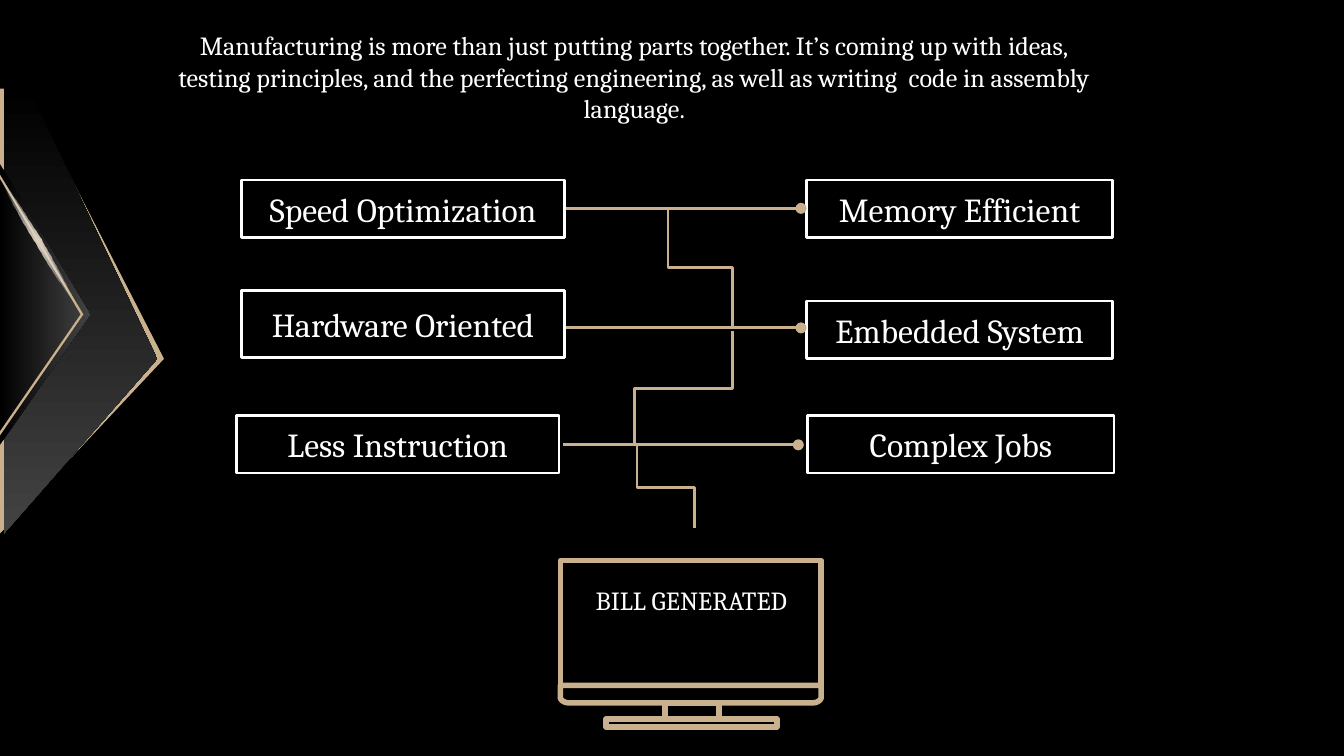
from lxml.etree import SubElement
from pptx import Presentation
from pptx.dml.color import RGBColor
from pptx.enum.shapes import MSO_CONNECTOR, MSO_SHAPE
from pptx.enum.text import MSO_ANCHOR, MSO_AUTO_SIZE, PP_ALIGN
from pptx.oxml.ns import qn
from pptx.util import Pt

EMU_PER_PX = 9144  # 100 px to the inch
COLORS = {
    "black": "000000",
    "white": "FFFFFF",
    "gold": "C9B18E",
    "grey": "434343",
    "sand": "DED0BB",
}
INTRO = (
    "Manufacturing is more than just putting parts together. It’s coming up with ideas, "
    "testing principles, and the perfecting engineering, as well as writing  code in assembly language."
)
LABELS = [
    ("Speed Optimization", (180, 134, 240, 43)),
    ("Hardware Oriented", (180, 216, 240, 50)),
    ("Less Instruction", (176, 309, 240, 43)),
    ("Memory Efficient", (600, 134, 228, 43)),
    ("Embedded System", (600, 224, 228, 43)),
    ("Complex Jobs", (601, 309, 228, 43)),
]
LINKS = [(421, 155), (421, 244), (419, 331)]
LINK_LENGTH = 175
STEPS = [
    ((497, 155), (545, 243)),
    ((545, 246), (472, 332)),
    ((474, 332), (517, 393)),
]


def px(*values):
    return [round(value * EMU_PER_PX) for value in values]


def color(name):
    return RGBColor.from_string(COLORS[name])


def apply_format(target, values):
    for name, value in values.items():
        setattr(target, name, value)


def set_line(shape, name, width):
    shape.line.color.rgb = color(name)
    shape.line.width = Pt(width)


def write_text(frame, text, size, inset_y=10, **frame_format):
    left, top = px(10, inset_y)
    apply_format(frame, {
        "word_wrap": True, "margin_left": left, "margin_right": left,
        "margin_top": top, "margin_bottom": top, **frame_format,
    })
    paragraph = frame.paragraphs[0]
    apply_format(paragraph, {"alignment": PP_ALIGN.CENTER, "space_before": Pt(0)})
    run = paragraph.add_run()
    run.text = text
    apply_format(run.font, {"name": "Cambria", "size": Pt(size)})
    run.font.color.rgb = color("white")
    return paragraph


def add_intro(slide):
    title, body = slide.placeholders
    title.element.getparent().remove(title.element)
    apply_format(body, dict(zip(("left", "top", "width", "height"), px(118, 12, 708, 464))))
    paragraph = write_text(body.text_frame, INTRO, 14,
                           vertical_anchor=MSO_ANCHOR.TOP, auto_size=MSO_AUTO_SIZE.NONE)
    # No bullet, no hanging indent
    properties = paragraph._p.get_or_add_pPr()
    properties.set("marL", "0")
    properties.set("indent", "0")
    SubElement(properties, qn("a:buNone"))


def add_frame(shapes, box, name, width):
    frame = shapes.add_shape(MSO_SHAPE.RECTANGLE, *px(*box))
    frame.shadow.inherit = False
    frame.fill.background()
    set_line(frame, name, width)
    return frame


def add_label(shapes, text, box):
    label = add_frame(shapes, box, "white", 1.5)
    write_text(label.text_frame, text, 18, vertical_anchor=MSO_ANCHOR.MIDDLE)


def curve(start, control_1, control_2, end, steps=12):
    """Points along a cubic curve, without its start."""
    points = []
    for step in range(1, steps + 1):
        t = step / steps
        weights = ((1 - t) ** 3, 3 * t * (1 - t) ** 2, 3 * t * t * (1 - t), t ** 3)
        corners = (start, control_1, control_2, end)
        points.append(tuple(sum(w * c[axis] for w, c in zip(weights, corners)) for axis in (0, 1)))
    return points


def add_outline(shapes, points):
    start, *rest = [px(*point) for point in points]
    builder = shapes.build_freeform(*start)
    builder.add_line_segments(rest, close=True)
    outline = builder.convert_to_shape()
    outline.shadow.inherit = False
    return outline


def add_facet(shapes, points, fill, angle=0):
    """A filled outline: one colour name, or two for a gradient."""
    facet = add_outline(shapes, points)
    facet.line.fill.background()
    if isinstance(fill, str):
        facet.fill.solid()
        facet.fill.fore_color.rgb = color(fill)
        return facet
    facet.fill.gradient()
    facet.fill.gradient_angle = angle
    for stop, name, position in zip(facet.fill.gradient_stops, fill, (0, 1)):
        stop.color.rgb = color(name)
        stop.position = position
    return facet


def add_arrow(slide):
    shapes = slide.shapes.add_group_shape().shapes
    add_facet(shapes, [(19, 66), (122, 267), (0, 397), (0, 66)], "gold")
    add_facet(shapes, [(21, 65), (117, 267), (3, 397), (3, 65)], ("black", "grey"), 270)
    add_facet(shapes, [(0, 122), (67, 234), (0, 331)], ("black", "grey"))
    add_facet(shapes, [(0, 324), (0, 321), (60, 234), (0, 133), (0, 130), (62, 234)], "gold")

    # Glint that fades out from its centre
    tip, tail = (54, 223), (2, 135)
    edge = [tip, *curve(tip, (55, 222), (44, 202), (30, 177)),
            *curve((30, 177), (15, 153), (3, 134), tail),
            *curve(tail, (1, 135), (11, 156), (26, 180)),
            *curve((26, 180), (40, 204), (53, 224), tip)]
    glint = add_facet(shapes, edge, ("sand", "white"))
    gradient = glint.element.spPr.find(qn("a:gradFill"))
    gradient.remove(gradient.find(qn("a:lin")))
    radial = SubElement(gradient, qn("a:path"), {"path": "circle"})
    SubElement(radial, qn("a:fillToRect"), dict.fromkeys("ltrb", "50000"))
    outer_color = gradient.findall(".//" + qn("a:srgbClr"))[-1]
    SubElement(outer_color, qn("a:alpha"), {"val": "0"})


def add_wire(shapes, kind, start, end):
    wire = shapes.add_connector(kind, *px(*start, *end))
    set_line(wire, "gold", 1.5)
    SubElement(wire.element.spPr, qn("a:effectLst"))
    return wire


def add_link(shapes, start):
    x, y = start
    link = add_wire(shapes, MSO_CONNECTOR.STRAIGHT, start, (x + LINK_LENGTH, y))
    outline = link.element.spPr.find(qn("a:ln"))
    SubElement(outline, qn("a:tailEnd"), {"type": "oval"})


def add_step(shapes, start, end):
    """An elbow that leaves and arrives vertically: a sideways elbow, turned."""
    (x1, y1), (x2, y2) = start, end
    middle_x, middle_y = (x1 + x2) / 2, (y1 + y2) / 2
    half_run, half_drop = abs(x2 - x1) / 2, (y2 - y1) / 2
    side, turn = (1, 270) if x2 > x1 else (-1, 90)
    step = add_wire(shapes, MSO_CONNECTOR.ELBOW,
                    (middle_x + side * half_drop, middle_y - half_run),
                    (middle_x - side * half_drop, middle_y + half_run))
    step.element.spPr.get_or_add_xfrm().set("rot", str(turn * 60000))


def add_monitor(slide):
    shapes = slide.shapes.add_group_shape().shapes
    add_frame(shapes, (417, 417, 194, 93), "gold", 3)
    base = add_outline(shapes, [
        (417, 510), (417, 519), *curve((417, 519), (417, 521), (420, 523), (423, 523)),
        (605, 523), *curve((605, 523), (608, 523), (611, 521), (611, 519)), (611, 510)])
    base.fill.background()
    set_line(base, "gold", 3)
    for stand_box in ((495, 523, 40, 12), (451, 535, 127, 6)):
        add_frame(shapes, stand_box, "gold", 3)


def main():
    deck = Presentation()
    deck.slide_width, deck.slide_height = px(1000, 562.5)  # 16:9
    slide = deck.slides.add_slide(deck.slide_layouts[1])
    slide.background.fill.solid()
    slide.background.fill.fore_color.rgb = color("black")

    # Text and decoration
    add_intro(slide)
    for text, box in LABELS:
        add_label(slide.shapes, text, box)
    add_arrow(slide)

    # Wiring down to the screen
    for start in LINKS:
        add_link(slide.shapes, start)
    add_monitor(slide)
    for start, end in STEPS:
        add_step(slide.shapes, start, end)
    bill = slide.shapes.add_textbox(*px(432, 430, 165, 57))
    write_text(bill.text_frame, "BILL GENERATED", 14, inset_y=5,
               auto_size=MSO_AUTO_SIZE.SHAPE_TO_FIT_TEXT)

    deck.save("out.pptx")


if __name__ == "__main__":
    main()
